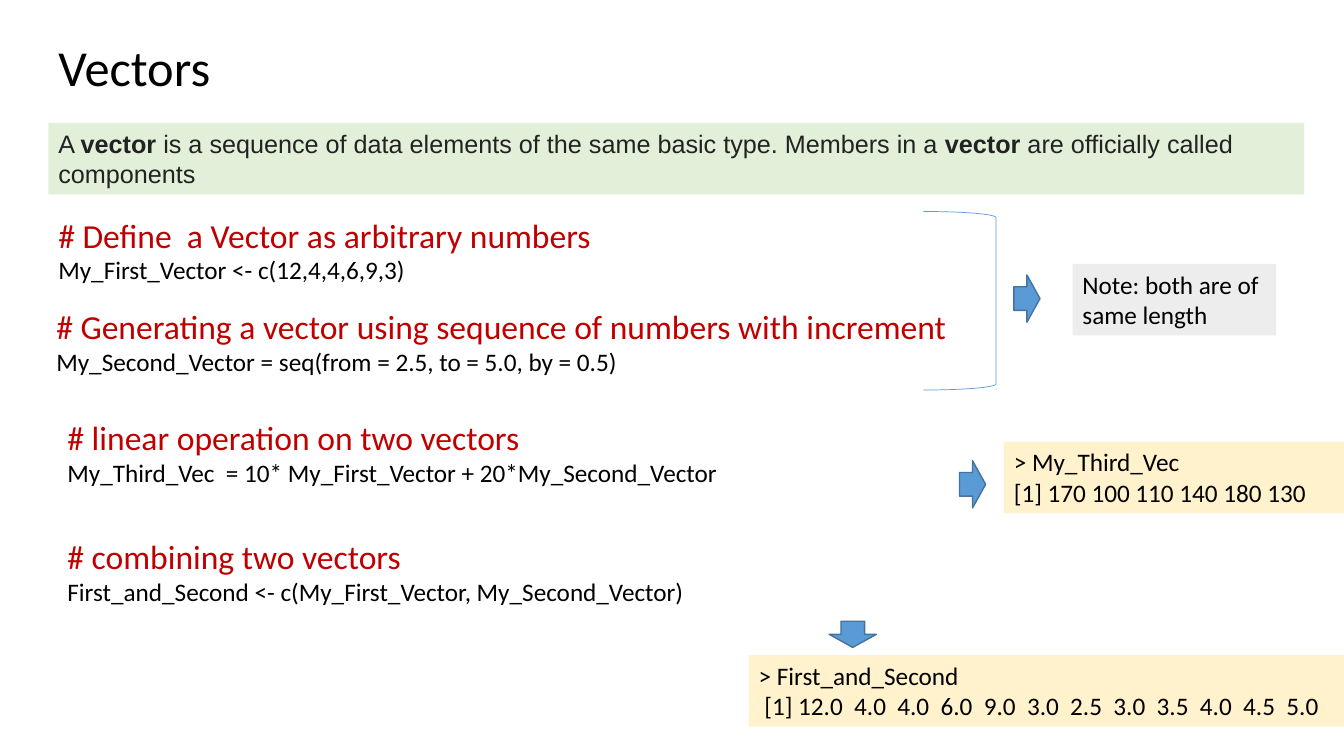
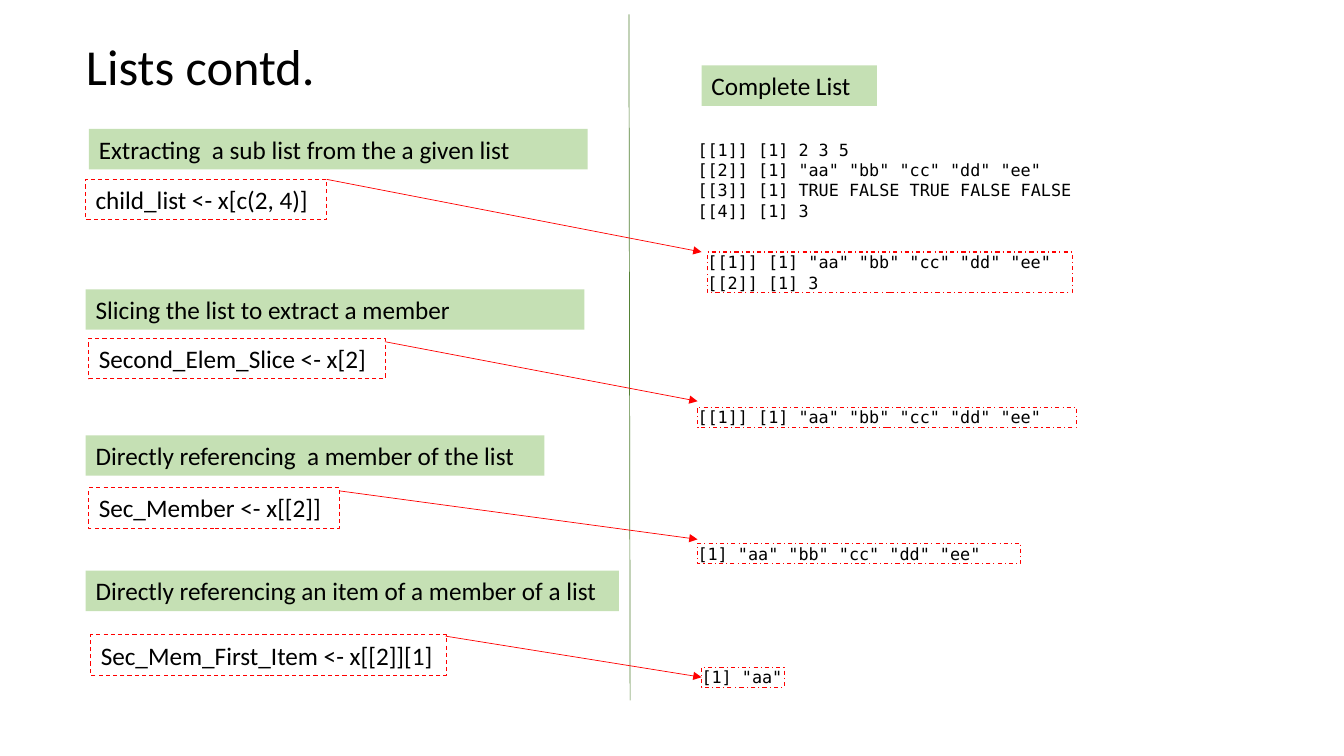
from collections import namedtuple

from lxml.etree import SubElement
from pptx import Presentation
from pptx.dml.color import RGBColor
from pptx.enum.dml import MSO_LINE as Dash
from pptx.enum.shapes import MSO_CONNECTOR as Connector, MSO_SHAPE as Shape
from pptx.enum.text import MSO_ANCHOR as Anchor, MSO_AUTO_SIZE as AutoSize, PP_ALIGN as Align
from pptx.oxml.ns import qn
from pptx.util import Cm, Pt

BLACK = RGBColor(0x00, 0x00, 0x00)
WHITE = RGBColor(0xFF, 0xFF, 0xFF)
CHARCOAL = RGBColor(0x22, 0x22, 0x22)
DARK_RED = RGBColor(0xC0, 0x00, 0x00)
RED = RGBColor(0xFF, 0x00, 0x00)
BLUE = RGBColor(0x5B, 0x9B, 0xD5)
DARK_BLUE = RGBColor(0x43, 0x73, 0x9E)
PALE_GREEN = RGBColor(0xE2, 0xF0, 0xD9)
GREEN = RGBColor(0xC5, 0xE0, 0xB4)
DARK_GREEN = RGBColor(0x54, 0x82, 0x35)
GREY = RGBColor(0xED, 0xED, 0xED)
CREAM = RGBColor(0xFF, 0xF2, 0xCC)

Style = namedtuple("Style", "font size color bold", defaults=[BLACK, False])
TITLE = Style("Calibri", 36)
BODY = Style("Calibri", 18)
COMMENT = Style("Calibri", 24, DARK_RED)
PROSE = Style("Arial", 18, CHARCOAL)
TERM = PROSE._replace(bold=True)
CONSOLE = Style("DejaVu Sans Mono", 12)


def write(frame, paragraphs):
    for index, runs in enumerate(paragraphs):
        para = frame.add_paragraph() if index else frame.paragraphs[0]
        para.alignment = Align.LEFT
        for text, style in runs:
            span = para.add_run()
            span.text = text
            span.font.name = style.font
            span.font.size = Pt(style.size)
            span.font.color.rgb = style.color
            span.font.bold = style.bold


def add_box(page, place, paragraphs, fill=None, dash=None, wrap=True, console=False):
    box = page.shapes.add_textbox(*map(Cm, place))
    if fill is not None:
        box.fill.solid()
        box.fill.fore_color.rgb = fill
    if dash is not None:
        box.line.color.rgb = RED
        box.line.width = Pt(0.75)
        box.line.dash_style = dash
    frame = box.text_frame
    frame.word_wrap = wrap
    frame.auto_size = AutoSize.SHAPE_TO_FIT_TEXT
    if console:
        frame.vertical_anchor = Anchor.MIDDLE
        frame.margin_left = frame.margin_right = frame.margin_top = frame.margin_bottom = 0
    write(frame, paragraphs)
    return box


deck = Presentation()
deck.slide_width, deck.slide_height = Cm(33.87), Cm(19.05)

pages = []
for heading, place in [
    ("Vectors", (1.22, 0.81, 23.29, 1.91)),
    ("Lists contd.", (1.91, 0.79, 9.73, 1.91)),
]:
    page = deck.slides.add_slide(deck.slide_layouts[5])
    title = page.shapes.title
    title.left, title.top, title.width, title.height = map(Cm, place)
    title.text_frame.vertical_anchor = Anchor.MIDDLE
    write(title.text_frame, [[(heading, TITLE)]])
    title.text_frame.paragraphs[0].line_spacing = 0.9
    pages.append(page)
vectors, lists = pages

add_box(vectors, (1.22, 3.1, 31.65, 1.8), [[
    ("A ", PROSE),
    ("vector", TERM),
    (" is a sequence of data elements of the same basic type. Members in a ", PROSE),
    ("vector", TERM),
    (" are officially called components", PROSE),
]], fill=PALE_GREEN)

for left, top, width, comment, code in [
    (1.22, 5.28, 16.94, "# Define  a Vector as arbitrary numbers",
     "My_First_Vector <- c(12,4,4,6,9,3)"),
    (1.17, 7.59, 23.32, "# Generating a vector using sequence of numbers with increment",
     "My_Second_Vector = seq(from = 2.5, to = 5.0, by = 0.5)"),
    (1.45, 10.39, 23.7, "# linear operation on two vectors",
     "My_Third_Vec  = 10* My_First_Vector + 20*My_Second_Vector"),
    (1.45, 13.39, 22.1, "# combining two vectors",
     "First_and_Second <- c(My_First_Vector, My_Second_Vector)"),
]:
    add_box(vectors, (left, top, width, 2.06), [[(comment, COMMENT)], [(code, BODY)]])

for left, top, width, fill, lines in [
    (27.03, 6.65, 5.13, GREY, ["Note: both are of same length"]),
    (25.3, 11.13, 8.57, CREAM, ["> My_Third_Vec", "[1] 170 100 110 140 180 130"]),
    (18.87, 16.51, 15, CREAM, [
        "> First_and_Second",
        " [1] 12.0  4.0  4.0  6.0  9.0  3.0  2.5  3.0  3.5  4.0  4.5  5.0",
    ]),
]:
    add_box(vectors, (left, top, width, 1.8), [[(line, BODY)] for line in lines], fill=fill)

bracket = vectors.shapes.add_shape(Shape.RIGHT_BRACKET, Cm(23.27), Cm(5.33), Cm(1.83), Cm(4.5))
bracket.shadow.inherit = False
bracket.fill.background()
bracket.line.color.rgb = BLUE
bracket.line.width = Pt(0.5)

for left, top, rotation in [(25.55, 6.93, 0), (24.18, 11.61, 0), (21.16, 15.39, 90)]:
    arrow = vectors.shapes.add_shape(Shape.RIGHT_ARROW, Cm(left), Cm(top), Cm(0.66), Cm(1.19))
    arrow.rotation = rotation
    arrow.shadow.inherit = False
    arrow.fill.solid()
    arrow.fill.fore_color.rgb = BLUE
    arrow.line.color.rgb = DARK_BLUE
    arrow.line.width = Pt(1)

for left, top, width, label in [
    (2.24, 3.25, 12.57, "Extracting  a sub list from the a given list"),
    (2.16, 7.29, 12.57, "Slicing the list to extract a member"),
    (2.16, 10.97, 11.56, "Directly referencing  a member of the list"),
    (2.16, 14.38, 13.44, "Directly referencing an item of a member of a list"),
    (17.68, 1.65, 4.42, "Complete List"),
]:
    add_box(lists, (left, top, width, 1.02), [[(label, BODY)]], fill=GREEN)

for left, top, width, command in [
    (2.16, 4.52, 6.07, "child_list <- x[c(2, 4)]"),
    (2.24, 8.53, 7.47, "Second_Elem_Slice <- x[2]"),
    (2.24, 12.29, 6.32, "Sec_Member <- x[[2]]"),
    (2.29, 16, 8.97, "Sec_Mem_First_Item <- x[[2]][1]"),
]:
    add_box(lists, (left, top, width, 1.02), [[(command, BODY)]], dash=Dash.DASH, wrap=False)

complete_list = [
    '[[1]] [1] 2 3 5',
    '[[2]] [1] "aa" "bb" "cc" "dd" "ee"',
    '[[3]] [1] TRUE FALSE TRUE FALSE FALSE',
    '[[4]] [1] 3',
]
add_box(lists, (17.58, 3.51, 9.55, 2.06), [[(line, CONSOLE)] for line in complete_list],
        fill=WHITE, wrap=False, console=True)

for left, top, width, lines in [
    (17.83, 6.35, 9.19, ['[[1]] [1] "aa" "bb" "cc" "dd" "ee"', '[[2]] [1] 3']),
    (17.58, 10.26, 9.55, ['[[1]] [1] "aa" "bb" "cc" "dd" "ee"']),
    (17.58, 13.69, 8.15, ['[1] "aa" "bb" "cc" "dd" "ee"']),
    (17.68, 16.81, 2.08, ['[1] "aa"']),
]:
    result = add_box(lists, (left, top, width, 0.51 * len(lines)),
                     [[(line, CONSOLE)] for line in lines],
                     fill=WHITE, dash=Dash.DASH_DOT, console=True)

for ends, color, target in [
    ((15.85, 0.36, 15.88, 17.65), DARK_GREEN, None),
    ((8.23, 4.52, 17.68, 6.35), RED, None),
    ((9.7, 8.61, 17.58, 10.11), RED, None),
    ((8.56, 12.37, 17.58, 13.59), RED, None),
    ((11.23, 16.03, 17.68, 17.07), RED, result),
]:
    line = lists.shapes.add_connector(Connector.STRAIGHT, *map(Cm, ends))
    line.line.color.rgb = color
    line.line.width = Pt(0.5)
    properties = line.element.spPr
    if color == RED:
        SubElement(properties.find(qn("a:ln")), qn("a:tailEnd"), type="triangle")
    SubElement(properties, qn("a:effectLst"))
    if target is not None:
        line.end_connect(target, 1)

deck.save("out.pptx")
